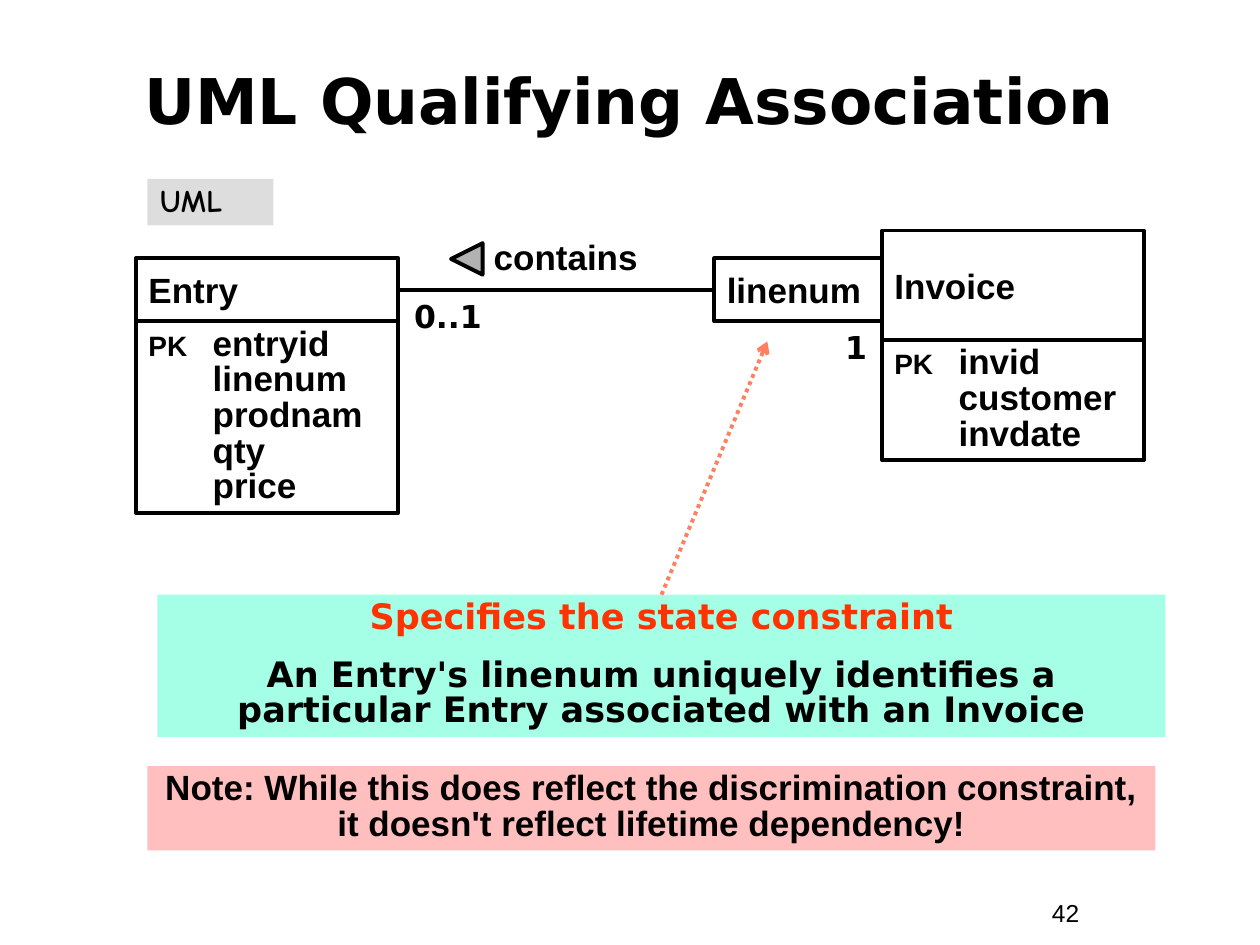
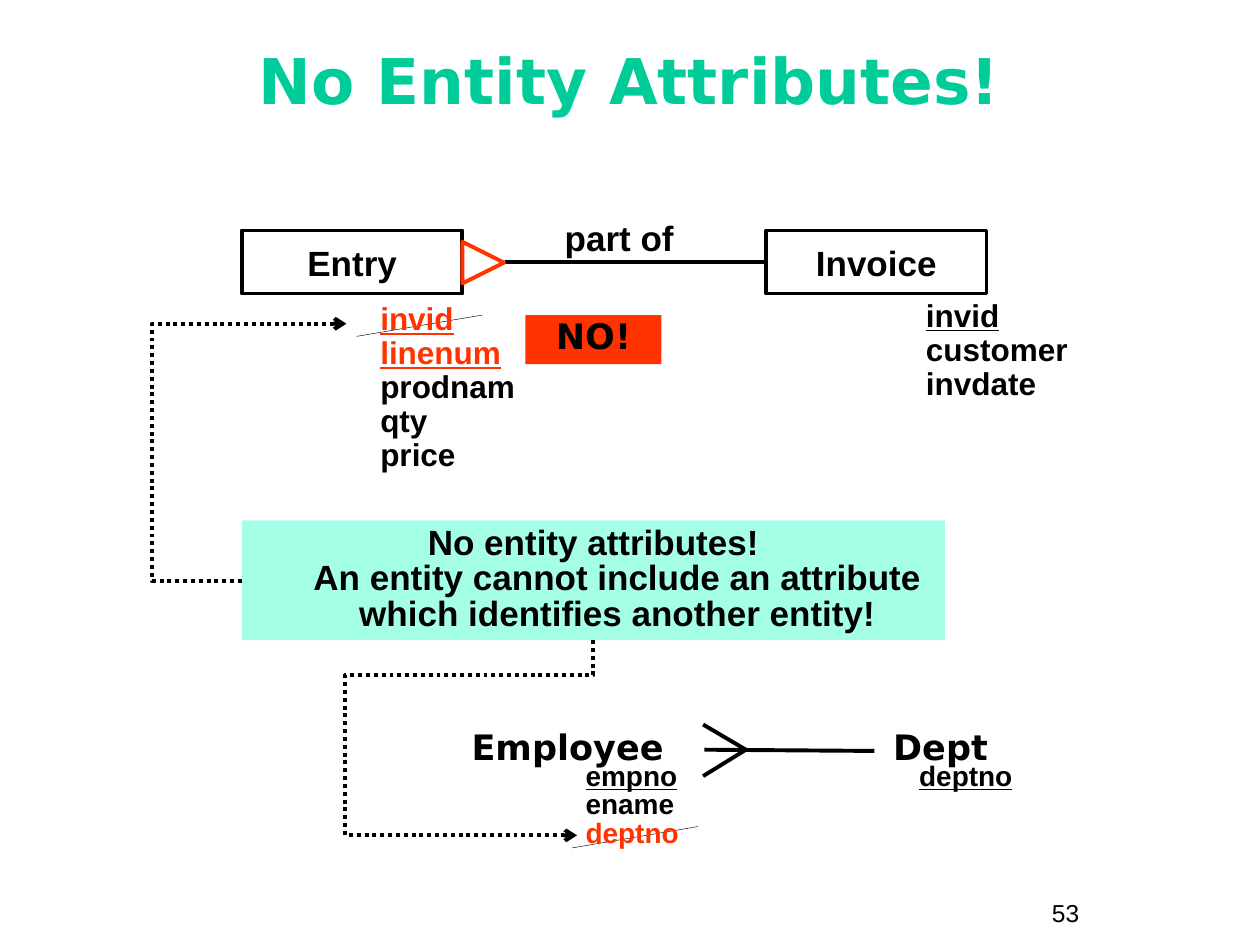
from dataclasses import dataclass

from lxml import etree
from pptx import Presentation
from pptx import util as u
from pptx.dml.color import RGBColor
from pptx.enum import dml, shapes, text
from pptx.oxml import ns


@dataclass(frozen=True)
class Theme:
    black: str = "000000"
    red: str = "FF3300"
    coral: str = "FF7F61"
    green: str = "00CC99"
    mint: str = "A5FFE7"
    pink: str = "FFBFBF"
    pale: str = "DDDDDD"
    grey: str = "B2B2B2"
    sans: str = "Arial"
    head: str = "DejaVu Sans"
    hand: str = "Comic Neue"
    title: int = 36
    body: int = 20
    small: int = 18
    key: int = 16
    page: int = 14
    thick: float = 2.25
    thin: float = 0.25


T = Theme()
MID = text.PP_ALIGN.CENTER
TOP, HALF = text.MSO_ANCHOR.TOP, text.MSO_ANCHOR.MIDDLE
ABOVE, LEFT, RIGHT = 0, 1, 3


def rgb(code):
    return RGBColor.from_string(code)


def inch(*nums):
    return [u.Inches(n) for n in nums]


def sub(node, tag, **attrs):
    return etree.SubElement(node, ns.qn(tag), attrs)


def paint(shape, fill=None, line=None):
    shape.shadow.inherit = False
    if fill:
        shape.fill.solid()
        shape.fill.fore_color.rgb = rgb(fill)
    else:
        shape.fill.background()
    if line:
        shape.line.color.rgb = rgb(line)
        shape.line.width = u.Pt(T.thick)
    else:
        shape.line.fill.background()


def put_run(para, words, size, font, color, bold, under):
    for i, part in enumerate(words.split("\v")):
        if i:
            para.add_line_break()
        run = para.add_run()
        run.text = part
        run.font.size = u.Pt(size)
        run.font.name = font
        run.font.bold = bold
        run.font.underline = under
        run.font.color.rgb = rgb(color)


def write(slide, box, *paras, fill=None, line=None, align=None, anchor=TOP,
          space=1.0, before=0, tab=None, hang=None, **style):
    """Add a text box, or a rectangle if it has fill or line.

    Each paragraph is a string or a list of (words, style) runs.
    """
    if fill or line:
        kind = shapes.MSO_SHAPE.RECTANGLE
        shape = slide.shapes.add_shape(kind, *inch(*box))
        paint(shape, fill, line)
    else:
        shape = slide.shapes.add_textbox(*inch(*box))
    base = dict(size=T.body, font=T.sans, color=T.black, bold=True,
                under=False) | style
    frame = shape.text_frame
    frame.word_wrap = True
    frame.vertical_anchor = anchor
    for i, runs in enumerate(paras):
        para = frame.add_paragraph() if i else frame.paragraphs[0]
        para.alignment = align or text.PP_ALIGN.LEFT
        para.line_spacing = space
        if i and before:
            para.space_before = u.Pt(before)
        props = para._p.get_or_add_pPr()
        if hang:
            props.set("marL", str(u.Inches(hang)))
            props.set("indent", str(-u.Inches(hang)))
        if tab:
            stops = sub(props, "a:tabLst")
            sub(stops, "a:tab", pos=str(u.Inches(tab)), algn="l")
        for words, extra in [(runs, {})] if isinstance(runs, str) else runs:
            put_run(para, words, **(base | extra))
    return shape


def link(slide, start, end, color=T.black, width=T.thick, arrow=False,
         kind=shapes.MSO_CONNECTOR.STRAIGHT):
    wire = slide.shapes.add_connector(kind, *inch(*start, *end))
    wire.line.color.rgb = rgb(color)
    wire.line.width = u.Pt(width)
    if arrow:
        wire.line.dash_style = dml.MSO_LINE.ROUND_DOT
        sub(wire.line._get_or_add_ln(), "a:tailEnd", type="arrow")
    sub(wire._element.spPr, "a:effectLst")
    return wire


def elbow(slide, start, end, preset, bends, turn=False):
    """Draw a dotted bent arrow; turn it to leave its start downward."""
    if turn:
        (x1, y1), (x2, y2) = start, end
        mx, my = (x1 + x2) / 2, (y1 + y2) / 2
        w, h = y2 - y1, x1 - x2
        start, end = (mx - w / 2, my - h / 2), (mx + w / 2, my + h / 2)
    wire = link(slide, start, end, arrow=True,
                kind=shapes.MSO_CONNECTOR.ELBOW)
    props = wire._element.spPr
    if turn:
        props.find(ns.qn("a:xfrm")).set("rot", str(90 * 60000))
    geom = props.find(ns.qn("a:prstGeom"))
    geom.set("prst", preset)
    guides = geom.find(ns.qn("a:avLst"))
    if guides is None:
        guides = sub(geom, "a:avLst")
    for i, bend in enumerate(bends, 1):
        sub(guides, "a:gd", name=f"adj{i}", fmla=f"val {round(bend * 100000)}")


def wedge(slide, box, kind, angle, fill=None, line=T.black):
    shape = slide.shapes.add_shape(kind, *inch(*box))
    paint(shape, fill, line)
    shape.rotation = angle


def page(deck, title, num, top, color=T.black):
    slide = deck.slides.add_slide(deck.slide_layouts[6])
    write(slide, (8.25, 7.08, 0.92, 0.34), num, size=T.page, bold=False)
    write(slide, (0.33, top, 9.33, 0.92), title, size=T.title, font=T.head,
          color=color, align=MID, anchor=HALF)
    return slide


def entity(slide, box, split, name, fields):
    """Draw a name box above a field list, divided at height split."""
    x, y, w, h = box
    head = write(slide, (x, y, w, split), name, line=T.black, anchor=HALF)
    first, *rest = fields
    rows = [[("PK", {"size": T.key}), ("\t" + first, {})]]
    rows += ["\t" + field for field in rest]
    write(slide, (x, y + split, w, h - split), *rows, line=T.black,
          space=0.85, tab=0.51)
    return head


def verb(slide, x, y):
    write(slide, (x + 0.16, y, 1.5, 0.44), "contains", align=MID)
    wedge(slide, (x, y + 0.11, 0.25, 0.25),
          shapes.MSO_SHAPE.ISOSCELES_TRIANGLE, 270, T.grey)


def qualified(deck):
    slide = page(deck, "UML Qualifying Association", "42", 0.33)
    write(slide, (1.17, 1.42, 1, 0.37), "UML", fill=T.pale, size=T.small,
          font=T.hand, space=0.9)
    entry = entity(slide, (1.08, 2.05, 2.08, 2.02), 0.5, "Entry",
                   ["entryid", "linenum", "prodnam", "qty", "price"])
    entity(slide, (7, 1.83, 2.08, 1.82), 0.87, "Invoice",
           ["invid", "customer", "invdate"])
    qual = write(slide, (5.67, 2.05, 1.33, 0.5), "linenum", line=T.black,
                 anchor=HALF)
    wire = link(slide, (3.16, 2.3), (5.67, 2.3))
    wire.begin_connect(entry, RIGHT)
    wire.end_connect(qual, LEFT)
    verb(slide, 3.58, 1.82)
    for box, count in (((6.42, 2.59, 0.75, 0.37), "1"),
                       ((3.14, 2.34, 0.83, 0.37), "0..1")):
        write(slide, box, count, size=T.small, font=T.head, align=MID,
              space=0.9)
    rule = write(slide, (1.25, 4.72, 8, 1.13),
                 [("Specifies the state constraint", {"color": T.red})],
                 "An Entry's linenum uniquely identifies a particular Entry "
                 "associated with an Invoice",
                 fill=T.mint, font=T.head, align=MID, space=0.85, before=12.5)
    write(slide, (1.17, 6.08, 8, 0.67),
          "Note: While this does reflect the discrimination constraint, "
          "it doesn't reflect lifetime dependency!",
          fill=T.pink, align=MID, space=0.85)
    arrow = link(slide, (5.25, 4.72), (6.09, 2.71), T.coral, arrow=True)
    arrow.begin_connect(rule, ABOVE)


def parts(slide, x, y):
    """Draw Entry as part of Invoice, with their attributes."""
    entry, whole = [
        write(slide, (x + dx, y, 1.75, 0.5), name, line=T.black, align=MID,
              anchor=HALF)
        for dx, name in ((0, "Entry"), (4.16, "Invoice"))]
    wire = link(slide, (x + 4.16, y + 0.25), (x + 2.09, y + 0.25))
    wire.begin_connect(whole, LEFT)
    write(slide, (x + 2.16, y - 0.16, 1.67, 0.44), "part of", align=MID)
    wedge(slide, (x + 1.75, y + 0.09, 0.33, 0.33),
          shapes.MSO_SHAPE.FLOWCHART_EXTRACT, 90, line=T.red)
    key = {"under": True}
    bad = key | {"color": T.red}
    write(slide, (x + 5.33, y + 0.5, 1.42, 0.91), [("invid", key)],
          "customer", "invdate", size=T.small, space=0.9)
    write(slide, (x + 1, y + 0.53, 1.67, 1.45), [("invid", bad)],
          [("linenum", bad)], "prodnam", "qty", "price", size=T.small,
          space=0.9)
    write(slide, (x + 2.25, y + 0.67, 1.08, 0.39), "NO!", fill=T.red,
          font=T.head, align=MID, space=0.85)


def staff(slide, x, y):
    """Draw Employee and Dept, joined by a crow's foot."""
    tip = (x + 2.42, y + 0.19)
    for dy in (-0.2, 0.21):
        link(slide, tip, (tip[0] - 0.34, tip[1] + dy))
    link(slide, (x + 2.09, tip[1]), (x + 3.44, tip[1] + 0.01))
    for dx, w, name in ((0, 2.01, "Employee"), (3.38, 1.17, "Dept")):
        write(slide, (x + dx, y, w, 0.39), name, font=T.head, align=MID,
              space=0.85)
    key = {"under": True}
    write(slide, (x + 1.05, y + 0.25, 1.17, 0.78),
          [("empno\v", key), ("ename\v", {}), ("deptno", {"color": T.red})],
          size=T.key, space=0.85)
    write(slide, (x + 3.58, y + 0.25, 1.17, 0.33), [("deptno", key)],
          size=T.key, align=MID, space=0.85)


def banned(deck):
    slide = page(deck, "No Entity Attributes!", "53", 0.17, T.green)
    for x, y in ((4.54, 6.73), (2.83, 2.67)):
        link(slide, (x, y), (x + 1, y - 0.17), width=T.thin)
    parts(slide, 1.92, 1.83)
    write(slide, (1.92, 4.13, 5.58, 0.95),
          "No entity attributes!\vAn entity cannot include an attribute "
          "which identifies another entity!",
          fill=T.mint, align=MID, space=0.85, hang=0.38)
    staff(slide, 3.5, 5.76)
    elbow(slide, (1.92, 4.61), (2.75, 2.57), "bentConnector3", [-0.86])
    elbow(slide, (4.71, 5.08), (4.58, 6.63), "bentConnector4",
          [0.18, 15.15], turn=True)


def main():
    deck = Presentation()
    deck.slide_width, deck.slide_height = inch(10, 7.5)
    qualified(deck)
    banned(deck)
    deck.save("out.pptx")


if __name__ == "__main__":
    main()
